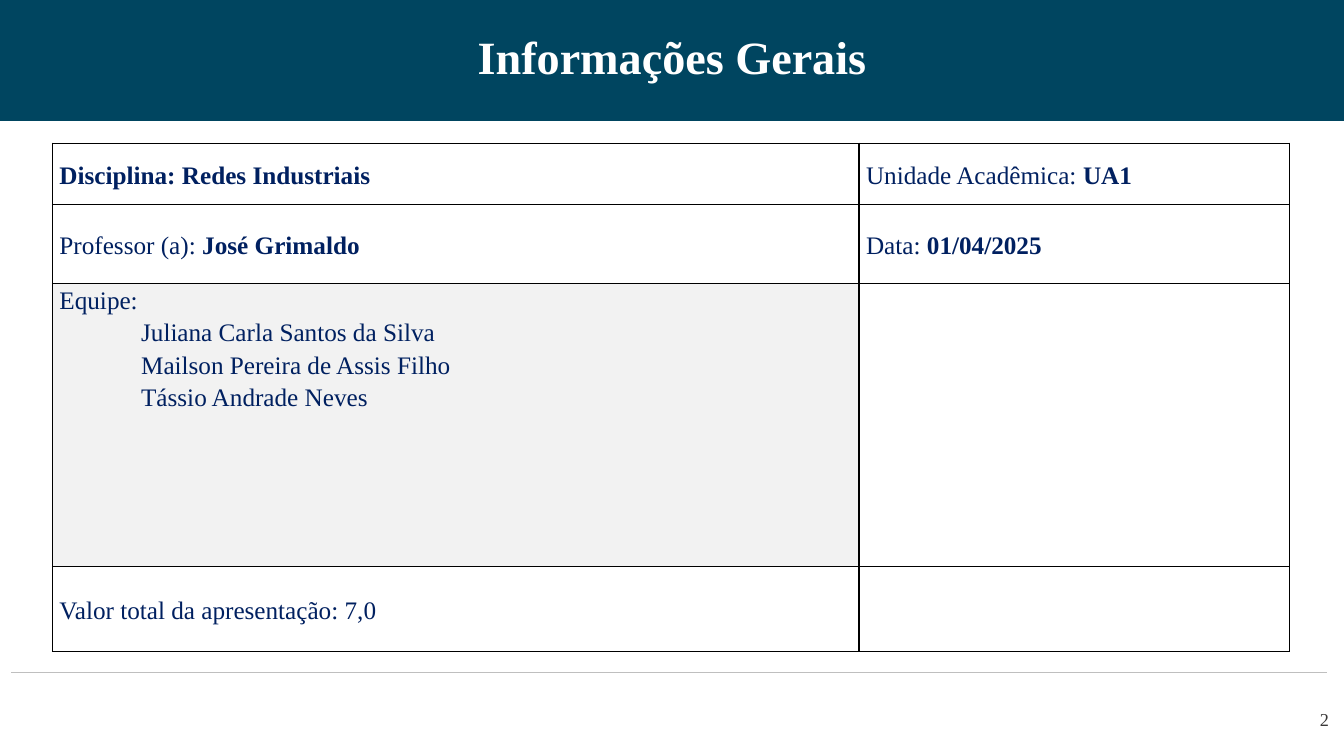
from dataclasses import dataclass

import pptx
import pptx.dml.color
import pptx.enum.shapes
import pptx.enum.text
import pptx.oxml
import pptx.oxml.ns
import pptx.util
from pptx.util import Inches

FONT = "Times New Roman"
NAVY = "002060"
ALIGN = pptx.enum.text.PP_ALIGN
ANCHOR = pptx.enum.text.MSO_ANCHOR


@dataclass
class Line:
    """A paragraph: a plain part, a bold part and a left indent in inches."""
    plain: str = ""
    bold: str = ""
    indent: float = 0


@dataclass
class Cell:
    lines: tuple[Line, ...] = ()
    fill: str = ""
    anchor: ANCHOR = ANCHOR.MIDDLE


@dataclass
class Label:
    text: str
    box: tuple[float, float, float, float]
    size: float
    color: str
    align: ALIGN
    anchor: ANCHOR
    inset: float
    bold: bool = False
    spacing: float = 1.0


def rgb(color: str) -> pptx.dml.color.RGBColor:
    return pptx.dml.color.RGBColor.from_string(color)


def set_font(p, size: float, color: str) -> None:
    p.font.name = FONT
    p.font.size = pptx.util.Pt(size)
    p.font.color.rgb = rgb(color)


def add_label(slide, label: Label) -> None:
    tf = slide.shapes.add_textbox(*map(Inches, label.box)).text_frame
    tf.word_wrap = True
    tf.vertical_anchor = label.anchor
    tf.margin_top = tf.margin_bottom = Inches(label.inset)
    p = tf.paragraphs[0]
    p.text = label.text
    p.alignment = label.align
    p.line_spacing = label.spacing
    set_font(p, label.size, label.color)
    p.font.bold = label.bold


def add_borders(cell) -> None:
    tc_pr = cell._tc.get_or_add_tcPr()
    for side in ("lnL", "lnR", "lnT", "lnB"):
        tc_pr.append(pptx.oxml.parse_xml(
            f'<a:{side} {pptx.oxml.ns.nsdecls("a")} w="12700"><a:solidFill>'
            f'<a:srgbClr val="000000"/></a:solidFill></a:{side}>'))


def fill_cell(cell, content: Cell) -> None:
    add_borders(cell)
    if content.fill:
        cell.fill.solid()
        cell.fill.fore_color.rgb = rgb(content.fill)
    else:
        cell.fill.background()
    cell.vertical_anchor = content.anchor
    cell.margin_left = cell.margin_right = Inches(0.07)
    cell.margin_top = cell.margin_bottom = 0
    tf = cell.text_frame
    for i, line in enumerate(content.lines):
        p = tf.add_paragraph() if i else tf.paragraphs[0]
        p.line_spacing = 1.15
        if line.indent:
            p._p.get_or_add_pPr().set("marL", str(Inches(line.indent)))
        set_font(p, 18, NAVY)
        for text, bold in ((line.plain, False), (line.bold, True)):
            if text:
                r = p.add_run()
                r.text = text
                r.font.bold = bold


def add_info_table(slide, left: float, top: float, cols: list[float],
                   rows: list[float], cells: list[list[Cell]]) -> None:
    frame = slide.shapes.add_table(
        len(rows), len(cols), Inches(left), Inches(top),
        Inches(sum(cols)), Inches(sum(rows)))
    table = frame.table
    table.first_row = table.horz_banding = False
    for column, width in zip(table.columns, cols):
        column.width = Inches(width)
    for row, height, contents in zip(table.rows, rows, cells):
        row.height = Inches(height)
        for cell, content in zip(row.cells, contents):
            fill_cell(cell, content)


TEAM = ("Juliana Carla Santos da Silva", "Mailson Pereira de Assis Filho",
        "Tássio Andrade Neves")
CELLS = [
    [Cell((Line(bold="Disciplina: Redes Industriais"),)),
     Cell((Line("Unidade Acadêmica: ", "UA1"),))],
    [Cell((Line("Professor (a): ", "José Grimaldo"),)),
     Cell((Line("Data: ", "01/04/2025"),))],
    [Cell((Line("Equipe:"), *(Line(name, indent=0.81) for name in TEAM)),
          "F2F2F2", ANCHOR.TOP),
     Cell()],
    [Cell((Line("Valor total da apresentação: 7,0"),)), Cell()],
]
LABELS = [
    Label("Informações Gerais", (0.54, 0.15, 12.25, 0.89), 33, "FFFFFF",
          ALIGN.CENTER, ANCHOR.MIDDLE, 0.05, True, 0.9),
    Label("2", (12.48, 6.93, 0.8, 0.57), 13, "3A3838",
          ALIGN.RIGHT, ANCHOR.TOP, 0.1),
]


def main() -> None:
    prs = pptx.Presentation()
    prs.slide_width, prs.slide_height = Inches(13.33), Inches(7.5)
    slide = prs.slides.add_slide(prs.slide_layouts[6])

    # Header band
    sp = slide.shapes.add_shape(pptx.enum.shapes.MSO_SHAPE.RECTANGLE,
                                0, 0, prs.slide_width, Inches(1.2))
    sp.shadow.inherit = False
    sp.fill.solid()
    sp.fill.fore_color.rgb = rgb("004560")
    sp.line.fill.background()

    # Footer rule
    rule = slide.shapes.add_connector(
        pptx.enum.shapes.MSO_CONNECTOR.STRAIGHT,
        Inches(0.11), Inches(6.67), Inches(13.16), Inches(6.67))
    rule.line.color.rgb = rgb("BFBFBF")
    rule.line.width = pptx.util.Pt(0.75)
    rule._element.spPr.append(pptx.oxml.parse_xml(
        f'<a:effectLst {pptx.oxml.ns.nsdecls("a")}/>'))

    # Title, page number and course details
    for label in LABELS:
        add_label(slide, label)
    add_info_table(slide, 0.52, 1.42, [8, 4.27], [0.61, 0.78, 2.81, 0.84], CELLS)

    prs.save("out.pptx")


if __name__ == "__main__":
    main()
